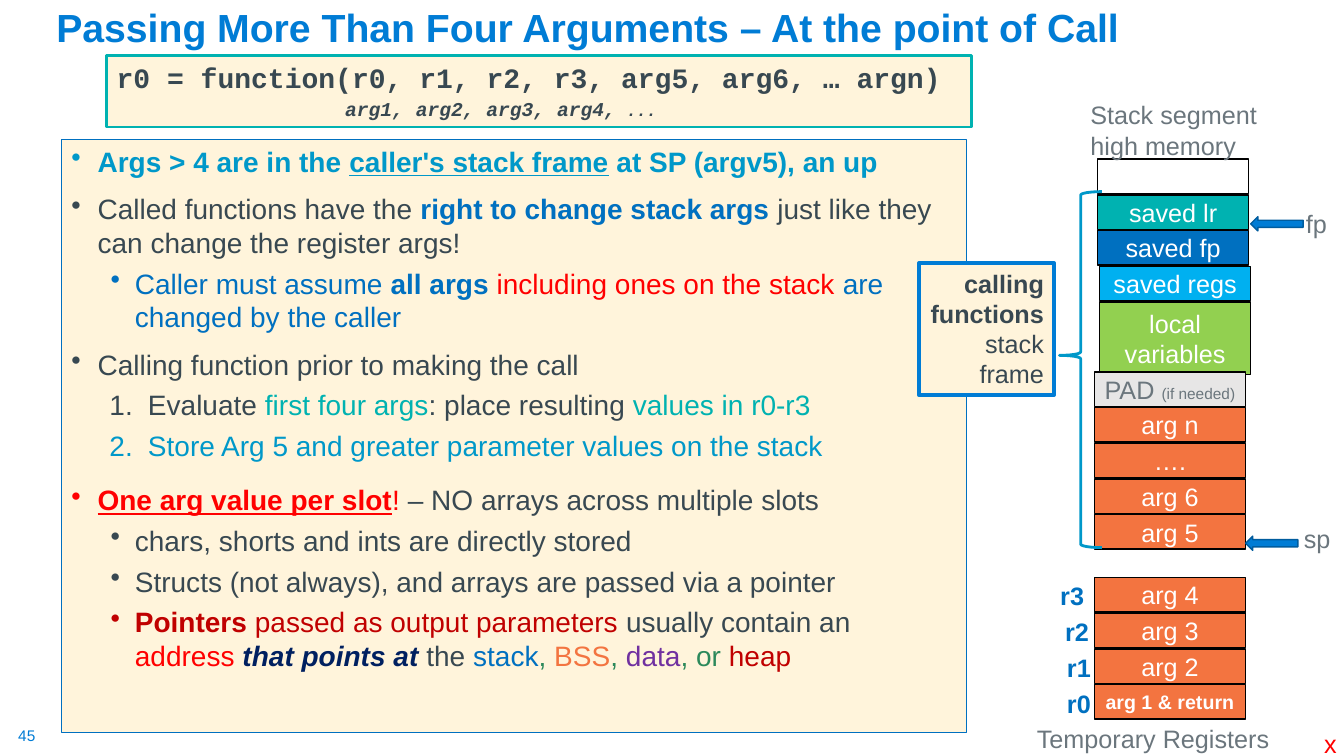
import dataclasses
import typing

import lxml.etree
import pptx
import pptx.dml.color
import pptx.enum.shapes
import pptx.enum.text
import pptx.oxml.ns
import pptx.util

Cm = pptx.util.Cm
Pt = pptx.util.Pt
Shape = pptx.enum.shapes.MSO_SHAPE
Align = pptx.enum.text.PP_ALIGN
Anchor = pptx.enum.text.MSO_ANCHOR
Frame = tuple[float, float, float, float]


@dataclasses.dataclass(frozen=True)
class Theme:
    sans: str = "Arial"
    mono: str = "Courier New"
    title: float = 28
    body: float = 20
    label: float = 18
    small: float = 14
    tiny: float = 11
    ellipsis: float = 12
    white: str = "FFFFFF"
    black: str = "000000"
    ink: str = "384851"
    grey: str = "6B767D"
    pale: str = "E7E6E6"
    cream: str = "FFF4DB"
    accent: str = "007CD5"
    edge: str = "005C9E"
    cyan: str = "0098C9"
    blue: str = "0070C0"
    teal: str = "00B2B1"
    sky: str = "00B0F0"
    lime: str = "92D050"
    green: str = "2C895B"
    orange: str = "F37440"
    red: str = "FF0000"
    crimson: str = "C00000"
    navy: str = "002060"
    purple: str = "7030A0"


THEME = Theme()
BOLD = {"bold": True}


@dataclasses.dataclass(frozen=True)
class Span:
    text: str
    color: str = THEME.ink
    size: float = THEME.label
    format: dict[str, typing.Any] = dataclasses.field(default_factory=dict)


@dataclasses.dataclass(frozen=True)
class Para:
    spans: list[Span]
    format: dict[str, typing.Any] = dataclasses.field(default_factory=dict)
    margin: float = 0
    hanging: float = 0
    bullet: str = ""


@dataclasses.dataclass(frozen=True)
class Cell:
    spans: list[list[Span]]
    fill: str | None
    left: float
    height: float = 0.87


def apply(target: typing.Any, values: dict[str, typing.Any]) -> None:
    for name, value in values.items():
        setattr(target, name, value)


def rgb(color: str) -> pptx.dml.color.RGBColor:
    return pptx.dml.color.RGBColor.from_string(color)


def indent(para: typing.Any, item: Para) -> None:
    properties = para._p.get_or_add_pPr()
    properties.set("marL", str(Cm(item.margin)))
    properties.set("indent", str(-Cm(item.hanging)))
    if item.bullet:
        numbered = item.bullet == "1."
        tag = "a:buAutoNum" if numbered else "a:buChar"
        mark = lxml.etree.SubElement(properties, pptx.oxml.ns.qn(tag))
        mark.set("type" if numbered else "char", "arabicPeriod" if numbered else item.bullet)


def write(box: typing.Any, paras: list[Para], font: str = THEME.sans, **frame: typing.Any) -> None:
    apply(box.text_frame, {"word_wrap": True, "vertical_anchor": Anchor.TOP} | frame)
    for index, item in enumerate(paras):
        para = box.text_frame.add_paragraph() if index else box.text_frame.paragraphs[0]
        indent(para, item)
        apply(para, {"alignment": Align.LEFT} | item.format)
        for span in item.spans:
            run = para.add_run()
            run.text = span.text
            apply(run.font, {"name": font, "size": Pt(span.size)} | span.format)
            run.font.color.rgb = rgb(span.color)


def add_text(page: typing.Any, frame: Frame, paras: list[Para], **options: typing.Any) -> None:
    write(page.shapes.add_textbox(*map(Cm, frame)), paras, **options)


def add_shape(page: typing.Any, kind: Shape, frame: Frame, fill: str | None,
              line: str, width: float) -> typing.Any:
    shape = page.shapes.add_shape(kind, *map(Cm, frame))
    shape.shadow.inherit = False
    if fill:
        shape.fill.solid()
        shape.fill.fore_color.rgb = rgb(fill)
    else:
        shape.fill.background()
    shape.line.color.rgb = rgb(line)
    shape.line.width = Pt(width)
    return shape


def add_cells(page: typing.Any, cells: list[Cell], top: float, pitch: float = 0.9) -> None:
    for row, cell in enumerate(cells):
        frame = (cell.left, top + row * pitch, 3.81, cell.height)
        box = add_shape(page, Shape.RECTANGLE, frame, cell.fill, THEME.black, 1)
        paras = [Para(spans, {"alignment": Align.CENTER}) for spans in cell.spans]
        write(box, paras, vertical_anchor=Anchor.MIDDLE)


def words(text: str, color: str = THEME.ink, **format: typing.Any) -> Span:
    return Span(text, color, THEME.body, format)


def white(text: str) -> list[Span]:
    return [Span(text, THEME.white)]


def point(*spans: Span, **format: typing.Any) -> Para:
    return Para(list(spans), {"space_before": Pt(10)} | format, 0.66, 0.66, "•")


def subpoint(*spans: Span) -> Para:
    return Para(list(spans), {"space_before": Pt(5)}, 1.6, 0.61, "•")


def step(*spans: Span) -> Para:
    return Para(list(spans), {"space_before": Pt(5)}, 1.93, 0.97, "1.")


T = THEME
BODY = [
    point(words("Args > 4 are in the ", T.cyan, bold=True),
          words("caller's stack frame", T.cyan, bold=True, underline=True),
          words(" at SP (argv5), an up", T.cyan, bold=True), space_before=Pt(0)),
    point(words("Called functions have the "),
          words("right to change stack args ", T.blue, bold=True),
          words("just like they can change the register args!")),
    subpoint(words("Caller must assume ", T.blue), words("all args ", T.blue, bold=True),
             words("including ones on the stack ", T.red),
             words("are changed by the caller", T.blue)),
    point(words("Calling function prior to making the call")),
    step(words("Evaluate "), words("first four args", T.teal),
         words(": place resulting "), words("values in r0-r3", T.teal)),
    step(words("Store Arg 5 and greater parameter values on the stack", T.cyan)),
    point(words("One arg value per slot", T.red, bold=True, underline=True),
          words("! ", T.red), words("– NO arrays across multiple slots"), line_spacing=1.2),
    subpoint(words("chars, shorts and ints are directly stored")),
    subpoint(words("Structs (not always), and arrays are passed via a pointer")),
    subpoint(words("Pointers", T.crimson, bold=True),
             words(" passed as output parameters ", T.crimson),
             words("usually contain an "), words("address ", T.red),
             words("that points at ", T.navy, bold=True, italic=True), words("the "),
             words("stack", T.blue), words(", ", T.green), words("BSS", T.orange),
             words(", ", T.green), words("data", T.purple), words(", or ", T.green),
             words("heap", T.crimson)),
]
FRAME_CELLS = [
    Cell([], None, 27.66),
    Cell([white("saved lr")], T.teal, 27.66),
    Cell([white("saved fp")], T.blue, 27.66),
    Cell([white("saved regs")], T.sky, 27.71),
    Cell([white("local"), white("variables")], T.lime, 27.71, 1.83),
]
PAD = Cell([[Span("PAD ", T.grey), Span("(if needed)", T.grey, T.tiny)]], T.pale, 27.58)
ARGUMENT_CELLS = [PAD] + [Cell([white(name)], T.orange, 27.58)
                          for name in ("arg n", "….", "arg 6", "arg 5")]
REGISTER_CELLS = [Cell([white(name)], T.orange, 27.58) for name in ("arg 4", "arg 3", "arg 2")]
REGISTER_CELLS.append(Cell([[Span("arg 1 & return", T.white, T.small, BOLD)]], T.orange, 27.58))
REGISTER_LEFTS = {"r3": 26.47, "r2": 26.59, "r1": 26.64, "r0": 26.64}
CODE = [
    Para([Span("r0 = function(r0, r1, r2, r3, arg5, arg6, … argn)", T.ink, T.body, BOLD)]),
    Para([Span("arg1, arg2, arg3, arg4,", T.ink, T.small, BOLD | {"italic": True}),
          Span(" ...", T.ink, T.ellipsis, BOLD | {"italic": True})],
         {"space_before": Pt(2)}, 5.76),
]


def main() -> None:
    deck = pptx.Presentation()
    apply(deck, {"slide_width": Cm(33.87), "slide_height": Cm(19.05)})
    page = deck.slides.add_slide(deck.slide_layouts[6])

    add_text(page, (0.46, 18.31, 0.48, 0.48), [Para([Span("45", T.accent, T.tiny)])],
             word_wrap=False, margin_left=0, margin_right=0, margin_top=0, margin_bottom=0)
    title = Span("Passing More Than Four Arguments – At the point of Call", T.accent, T.title, BOLD)
    add_text(page, (1.17, 0.05, 29.21, 1.37), [Para([title], {"line_spacing": 0.9})],
             vertical_anchor=Anchor.BOTTOM)
    write(add_shape(page, Shape.RECTANGLE, (1.55, 3.51, 22.81, 14.96), T.cream, T.blue, 0.75), BODY)
    write(add_shape(page, Shape.RECTANGLE, (2.69, 1.4, 21.79, 1.8), T.cream, T.teal, 1.75),
          CODE, font=T.mono)

    add_cells(page, FRAME_CELLS, 4.01)
    add_cells(page, ARGUMENT_CELLS, 9.37)
    add_cells(page, REGISTER_CELLS, 14.55)
    for row, (name, left) in enumerate(REGISTER_LEFTS.items()):
        add_text(page, (left, 14.51 + row * 0.9, 1.12, 1.02),
                 [Para([Span(name, T.blue, format=BOLD)])], word_wrap=False)

    for left, top in ((31.52, 5.46), (31.39, 13.51)):
        add_shape(page, Shape.LEFT_ARROW, (left, top, 1.32, 0.36), T.accent, T.edge, 1)
    for text, color, frame in (
        ("fp", T.grey, (32.66, 5.13, 1.04, 1.02)),
        ("sp", T.grey, (32.61, 13.06, 1.19, 1.02)),
        ("x", T.red, (33.12, 18.24, 0.84, 1.02)),
        ("Temporary Registers", T.grey, (25.88, 18.11, 6.43, 1.02)),
    ):
        add_text(page, frame, [Para([Span(text, color)])], word_wrap=False)
    add_text(page, (27.23, 2.39, 5.08, 1.8),
             [Para([Span(text, T.grey)]) for text in ("Stack segment", "high memory")])

    brace = add_shape(page, Shape.LEFT_BRACE, (26.7, 4.83, 1.07, 8.97), None, T.cyan, 2)
    brace.adjustments[0], brace.adjustments[1] = 0.08, 0.46
    callout = add_shape(page, Shape.RECTANGLE, (23.16, 6.63, 3.4, 3.33), T.cream, T.accent, 2.75)
    write(callout, [Para([Span("calling functions ", format=BOLD), Span("stack frame")],
                         {"alignment": Align.RIGHT})])
    deck.save("out.pptx")


if __name__ == "__main__":
    main()
